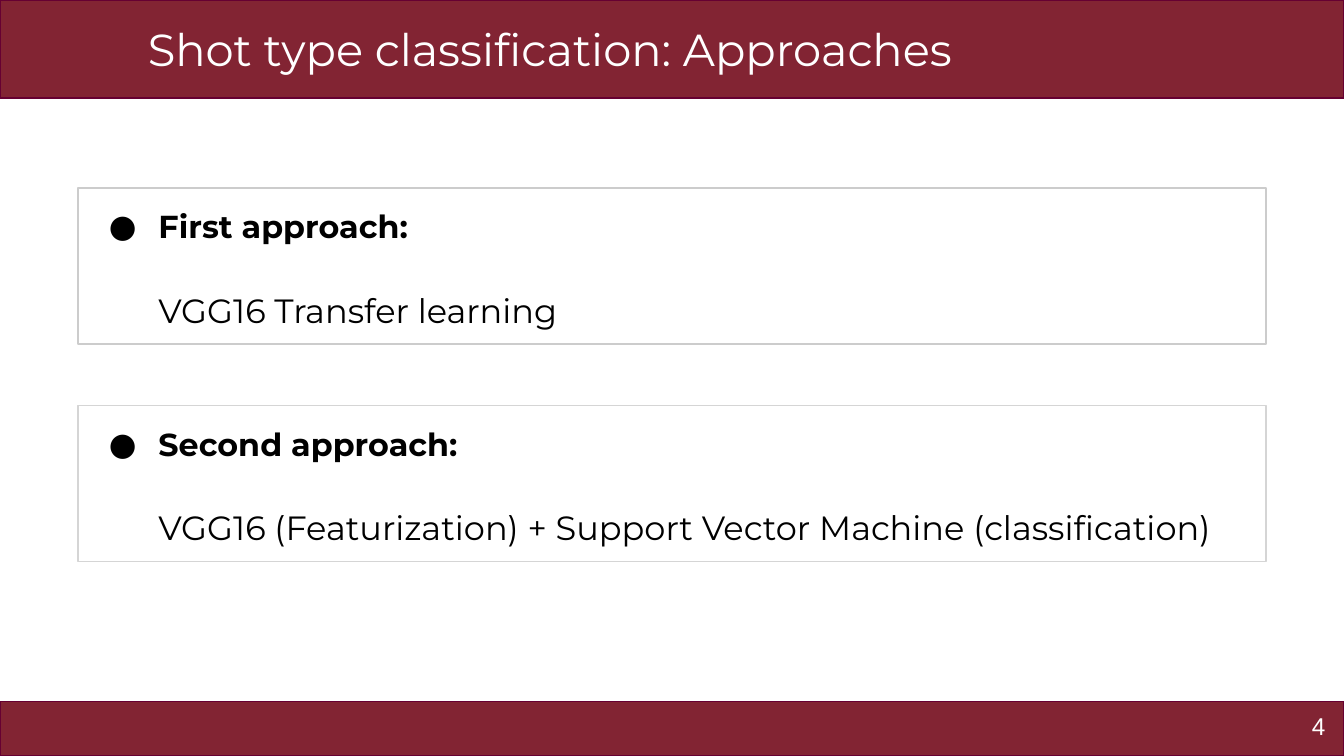
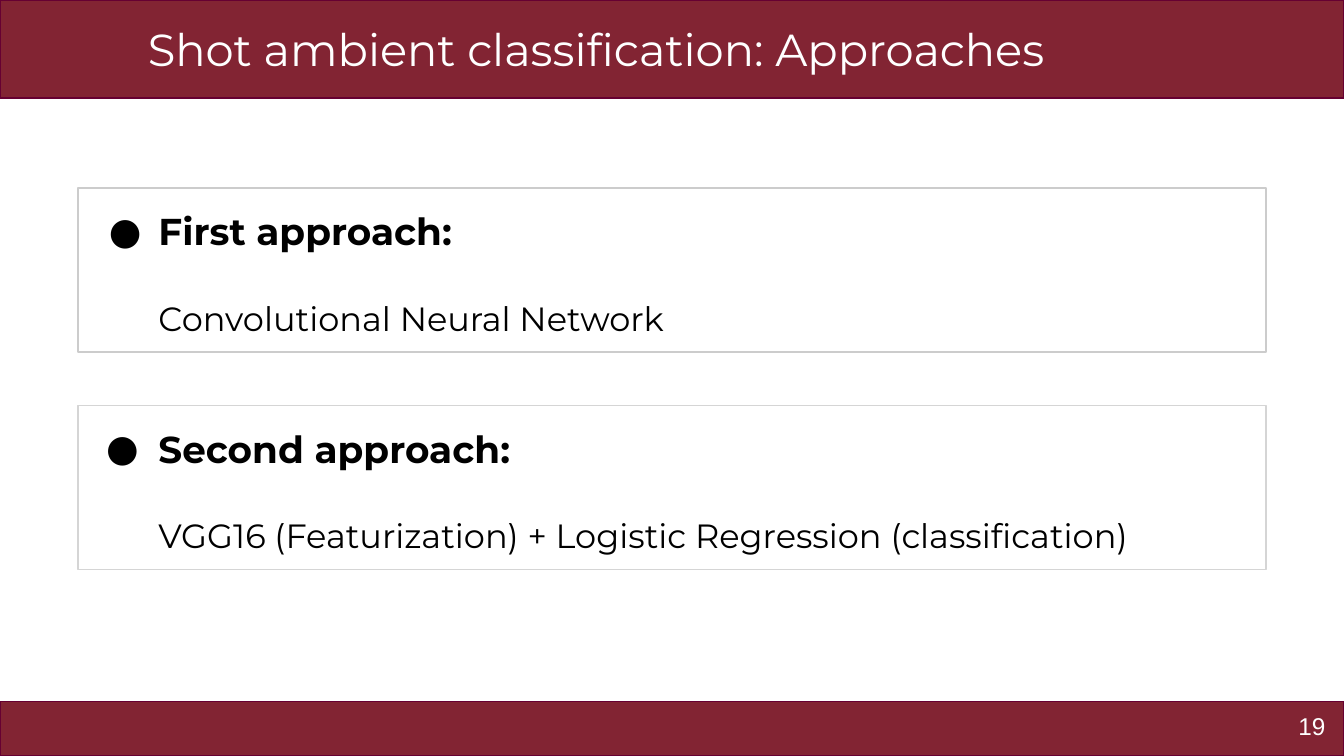
from pptx import Presentation
from pptx.dml.color import RGBColor
from pptx.enum import shapes, text
from pptx.oxml import parse_xml
from pptx.oxml.ns import nsdecls
from pptx.util import Pt

# Content: one dict per slide; each approach is (heading, method, hanging indent)
SLIDES = [
    {"title": "Shot type classification: Approaches", "number": "4",
     "heading_size": 17, "box_height": 83.5,
     "approaches": [
         ("First approach:", "VGG16 Transfer learning", 26.6),
         ("Second approach:",
          "VGG16 (Featurization) + Support Vector Machine (classification)", 26.6)]},
    {"title": "Shot ambient classification: Approaches", "number": "19",
     "heading_size": 20, "box_height": 87.8,
     "approaches": [
         ("First approach:", "Convolutional Neural Network", 26.6),
         ("Second approach:",
          "VGG16 (Featurization) + Logistic Regression (classification)", 28.1)]},
]

# Shared style, lengths in points
COLORS = {"band": "822433", "band_line": "660032", "white": "FFFFFF",
          "black": "000000", "first_box": "CCCCCC", "second_box": "D5D5D5"}
BOX_LINES = ("first_box", "second_box")
FONT, NUMBER_FONT = "Montserrat", "Arial"
WIDTH, HEIGHT = 720, 405
HEADER_HEIGHT, FOOTER_TOP = 52.6, 375.8
BOX_LEFT, BOX_TOP, BOX_STEP = 41.8, 100.8, 116.6
INSET, TEXT_INDENT, TITLE_INSET = 7.2, 36, 79.2
METHOD_GAP = 23.8


def color(name):
    return RGBColor.from_string(COLORS[name])


def add_text(p, words, size=18, fill="black", bold=False, font=FONT,
             align=None, indent=0, hang=0, before=None, spacing=None):
    """Write one formatted paragraph; a hang gives it a bullet."""
    pPr = p._p.get_or_add_pPr()
    pPr.set("marL", str(Pt(indent)))
    pPr.set("indent", str(-Pt(hang)))
    if hang:
        for xml in (f'<a:buClr {nsdecls("a")}><a:srgbClr val="{COLORS[fill]}"/></a:buClr>',
                    f'<a:buFont {nsdecls("a")} typeface="{font}"/>',
                    f'<a:buChar {nsdecls("a")} char="●"/>'):
            pPr.append(parse_xml(xml))
    if align is not None:
        p.alignment = align
    if before is not None:
        p.space_before = Pt(before)
    if spacing is not None:
        p.line_spacing = spacing
    r = p.add_run()
    r.text = words
    r.font.name, r.font.size, r.font.bold = font, Pt(size), bold
    r.font.color.rgb = color(fill)


def set_frame(sp, anchor=text.MSO_ANCHOR.TOP, left=INSET):
    tf = sp.text_frame
    tf.word_wrap = True
    tf.vertical_anchor = anchor
    tf.margin_left = Pt(left)
    tf.margin_top = tf.margin_right = tf.margin_bottom = Pt(INSET)
    return tf


def add_rect(s, x, y, w, h, line, fill=None):
    sp = s.shapes.add_shape(shapes.MSO_SHAPE.RECTANGLE, Pt(x), Pt(y), Pt(w), Pt(h))
    sp.shadow.inherit = False
    if fill:
        sp.fill.solid()
        sp.fill.fore_color.rgb = color(fill)
    else:
        sp.fill.background()
    sp.line.color.rgb = color(line)
    sp.line.width = Pt(0.75)
    return sp


def add_bands(s, title, number):
    # Header with title
    header = add_rect(s, 0, 0, WIDTH, HEADER_HEIGHT, "band_line", "band")
    tf = set_frame(header, text.MSO_ANCHOR.MIDDLE, TITLE_INSET)
    add_text(tf.paragraphs[0], title, size=24, fill="white", align=text.PP_ALIGN.LEFT)
    # Footer with slide number
    add_rect(s, 0, FOOTER_TOP, WIDTH, HEIGHT - FOOTER_TOP, "band_line", "band")
    sp = s.shapes.add_textbox(Pt(673.9), Pt(373.7), Pt(43.2), Pt(31))
    add_text(set_frame(sp).paragraphs[0], number, size=13, fill="white",
             font=NUMBER_FONT, align=text.PP_ALIGN.RIGHT)


def add_approach(s, i, approach, heading_size, height):
    heading, method, hang = approach
    sp = add_rect(s, BOX_LEFT, BOX_TOP + i * BOX_STEP, WIDTH - 2 * BOX_LEFT,
                  height, BOX_LINES[i])
    tf = set_frame(sp)
    tf.auto_size = text.MSO_AUTO_SIZE.SHAPE_TO_FIT_TEXT
    add_text(tf.paragraphs[0], heading, size=heading_size, bold=True, indent=TEXT_INDENT,
             hang=hang, spacing=1.15, align=text.PP_ALIGN.LEFT)
    add_text(tf.add_paragraph(), method, indent=TEXT_INDENT, before=METHOD_GAP,
             align=text.PP_ALIGN.LEFT)


def main():
    prs = Presentation()
    prs.slide_width, prs.slide_height = Pt(WIDTH), Pt(HEIGHT)
    for content in SLIDES:
        s = prs.slides.add_slide(prs.slide_layouts[6])
        add_bands(s, content["title"], content["number"])
        for i, approach in enumerate(content["approaches"]):
            add_approach(s, i, approach, content["heading_size"], content["box_height"])
    prs.save("out.pptx")


if __name__ == "__main__":
    main()
